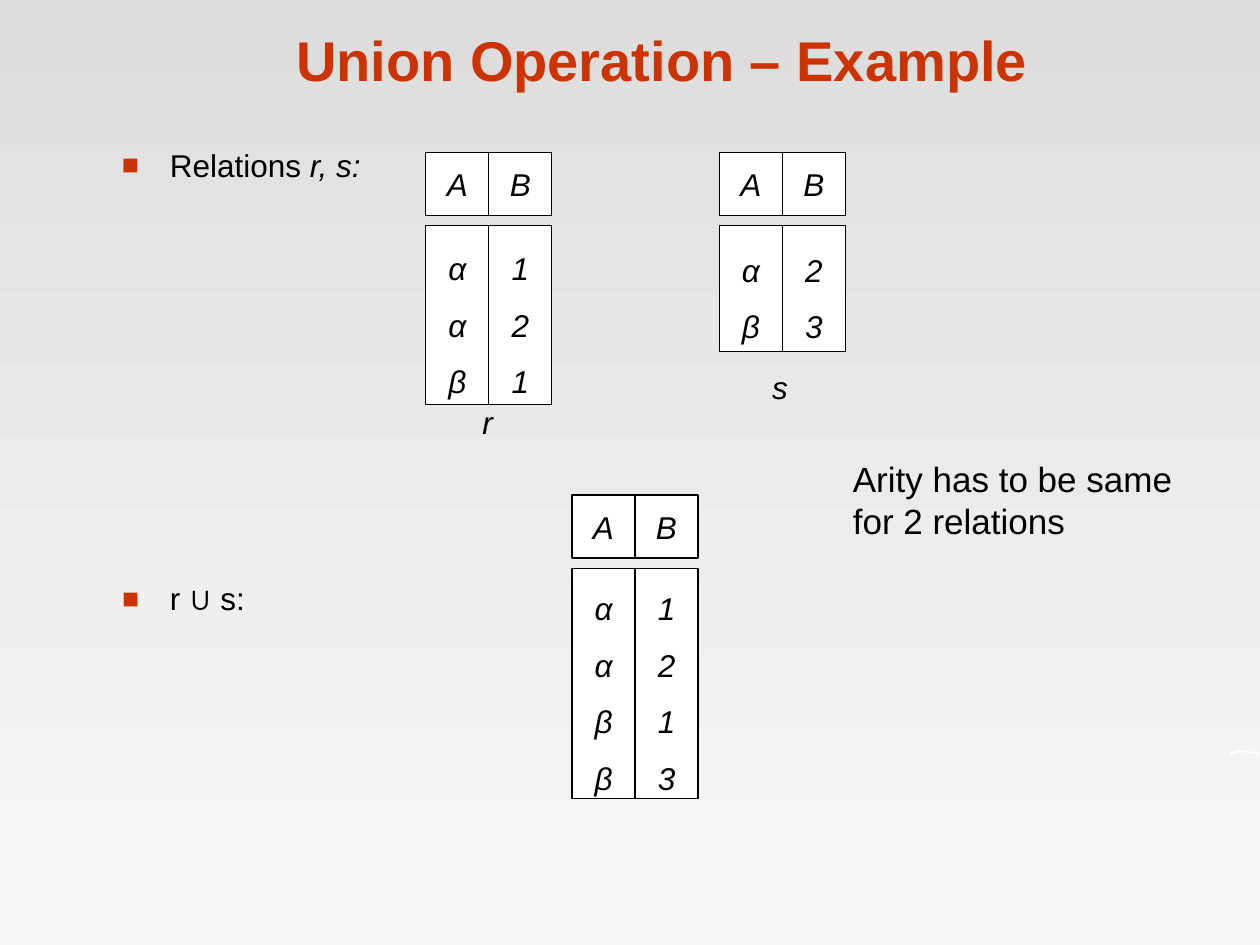
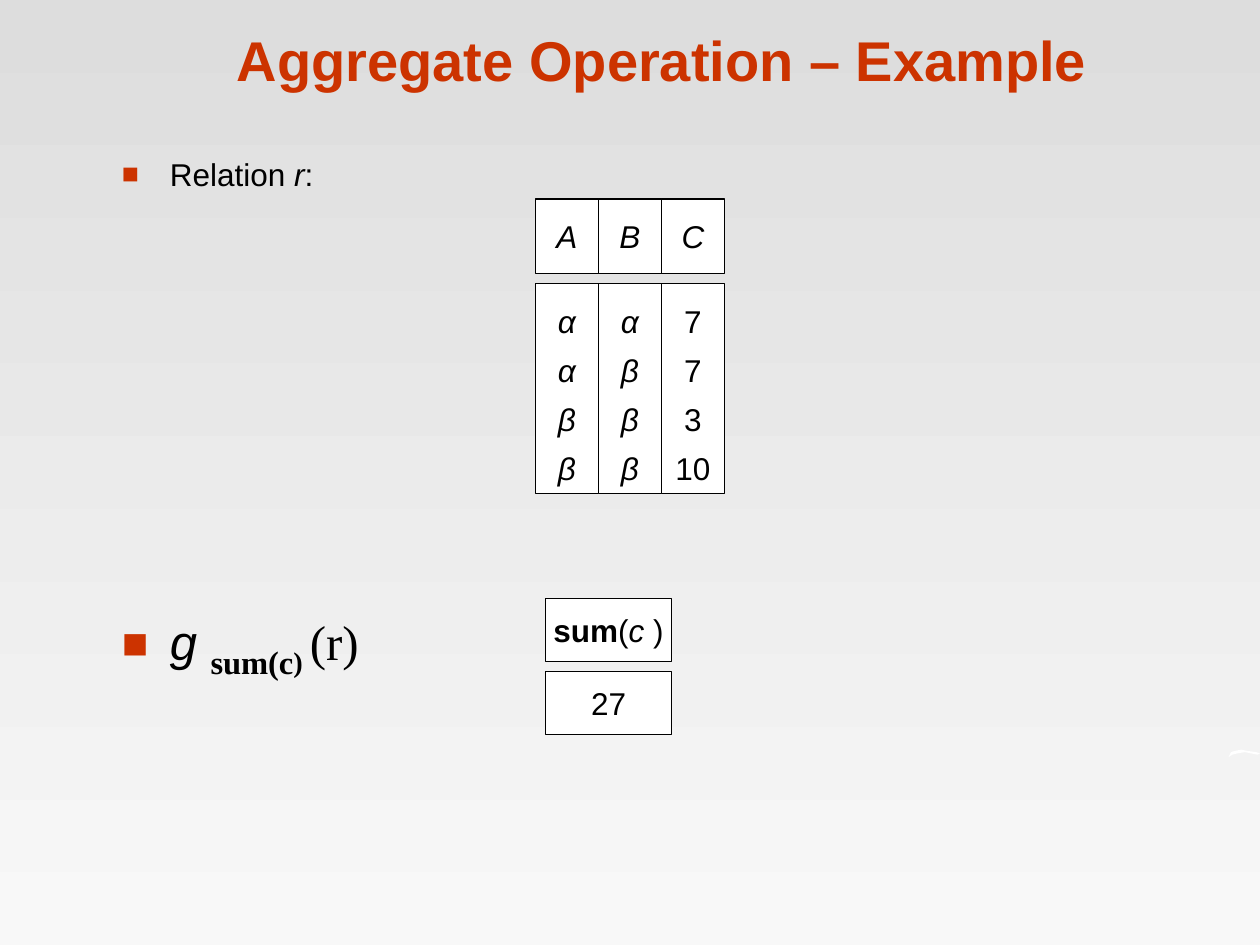
from lxml.etree import SubElement
from pptx import Presentation
from pptx.dml.color import RGBColor
from pptx.enum.shapes import MSO_SHAPE
from pptx.enum.text import MSO_ANCHOR, MSO_AUTO_SIZE, PP_ALIGN
from pptx.oxml.ns import qn
from pptx.util import Inches, Pt

ACCENT, INK, PAPER = "CC3300", "000000", "FFFFFF"
BACKGROUND = ("DDDDDD", "F8F8F8")
FONT = "Arial"
COLUMN_WIDTH, HEAD_GAP = 0.5, 0.08
# Outline in hundredths of an inch
SWOOSH = [(975, 601), (977, 597), (980, 596), (985, 595), (990, 596),
          (997, 597), (1000, 598), (998, 599), (993, 598), (988, 597),
          (982, 598), (978, 599)]


def color(hex_code):
    return RGBColor.from_string(hex_code)


def style(font, size=None, name=None, ink=None, bold=None, italic=None):
    """Set only the font properties that are given."""
    if size:
        font.size = Pt(size)
    if name:
        font.name = name
    if ink:
        font.color.rgb = color(ink)
    if bold is not None:
        font.bold = bold
    if italic is not None:
        font.italic = italic


def add_spans(para, spans):
    """Add (text, font properties) pairs; "baseline" is a percentage."""
    for text, look in spans:
        span = para.add_run()
        span.text = text
        look = dict(look)
        baseline = look.pop("baseline", 0)
        style(span.font, **look)
        if baseline:
            span.font._element.set("baseline", str(baseline * 1000))


def paint_background(deck):
    fill = deck.slide_master.background.fill
    fill.gradient()
    fill.gradient_angle = 270
    for stop, shade in zip(fill.gradient_stops, BACKGROUND):
        stop.color.rgb = color(shade)


def add_swoosh(page):
    builder = page.shapes.build_freeform(*SWOOSH[0], scale=Inches(0.01))
    builder.add_line_segments(SWOOSH[1:], close=True)
    swoosh = builder.convert_to_shape()
    swoosh.shadow.inherit = False
    swoosh.fill.solid()
    swoosh.fill.fore_color.rgb = color(PAPER)
    swoosh.line.fill.background()


def add_page(deck, heading):
    page = deck.slides.add_slide(deck.slide_layouts[5])
    add_swoosh(page)
    title = page.shapes.title
    title.left, title.top = Inches(0.84), Inches(0.12)
    title.width, title.height = Inches(8.83), Inches(0.67)
    frame = title.text_frame
    frame.text = heading
    frame.auto_size = MSO_AUTO_SIZE.NONE
    frame.vertical_anchor = MSO_ANCHOR.BOTTOM
    para = frame.paragraphs[0]
    para.alignment = PP_ALIGN.CENTER
    style(para.font, 32, FONT, ACCENT, bold=True)
    return page


def add_text(page, left, top, width, height):
    """Add an empty wrapping text box and return its first paragraph."""
    box = page.shapes.add_textbox(Inches(left), Inches(top), Inches(width), Inches(height))
    box.text_frame.word_wrap = True
    return box.text_frame.paragraphs[0]


def add_bullet(page, top, width, height, spans, line_spacing=1.0):
    para = add_text(page, 0.87, top, width, height)
    para.line_spacing = line_spacing
    properties = para._p.get_or_add_pPr()
    properties.set("marL", str(Inches(0.38)))
    properties.set("indent", str(-Inches(0.38)))
    bullet_color = SubElement(properties, qn("a:buClr"))
    SubElement(bullet_color, qn("a:srgbClr"), val=ACCENT)
    SubElement(properties, qn("a:buSzPct"), val="90000")
    SubElement(properties, qn("a:buFont"), typeface=FONT)
    SubElement(properties, qn("a:buChar"), char="■")
    style(para.font, 18, FONT, INK)
    add_spans(para, spans)


def add_note(page, left, top, width, height, text):
    para = add_text(page, left, top, width, height)
    para.text = text
    style(para.font, 20, FONT, INK)


def add_relation_name(page, left, top, name):
    para = add_text(page, left, top, 0.3, 0.4)
    para.text = name
    para.alignment = PP_ALIGN.CENTER
    style(para.font, 18, FONT, INK, italic=True)


def add_cell(page, left, top, width, height, lines, line_spacing=1.0):
    """Add a bordered box; each line is a list of spans."""
    cell = page.shapes.add_shape(MSO_SHAPE.RECTANGLE, Inches(left), Inches(top),
                                 Inches(width), Inches(height))
    cell.shadow.inherit = False
    cell.fill.solid()
    cell.fill.fore_color.rgb = color(PAPER)
    cell.line.color.rgb = color(INK)
    cell.line.width = Pt(0.75)
    frame = cell.text_frame
    frame.word_wrap = False
    frame.vertical_anchor = MSO_ANCHOR.MIDDLE
    for index, spans in enumerate(lines):
        para = frame.add_paragraph() if index else frame.paragraphs[0]
        para.alignment = PP_ALIGN.CENTER
        para.line_spacing = line_spacing
        style(para.font, 18, FONT, INK)
        add_spans(para, spans)


def add_relation(page, left, top, columns, body_height, head_height=0.5,
                 line_spacing=1.5, upright=()):
    """Add a header box and a body box for every attribute."""
    body_top = top + head_height + HEAD_GAP
    for index, (attribute, values) in enumerate(columns.items()):
        x = left + index * COLUMN_WIDTH
        look = {"italic": attribute not in upright}
        add_cell(page, x, top, COLUMN_WIDTH, head_height, [[(attribute, {"italic": True})]])
        add_cell(page, x, body_top, COLUMN_WIDTH, body_height,
                 [[(value, look)] for value in values.split()], line_spacing)


def build_union(deck):
    page = add_page(deck, "Union Operation – Example")
    add_bullet(page, 1.17, 7.5, 0.37,
               [("Relations ", {}), ("r, s:", {"italic": True})], 0.8)
    add_bullet(page, 4.58, 7.69, 0.36, [("r ∪ s:", {})], 0.9)
    add_relation(page, 3.38, 1.21, {"A": "α α β", "B": "1 2 1"}, 1.42)
    add_relation(page, 5.71, 1.21, {"A": "α β", "B": "2 3"}, 1)
    add_relation_name(page, 3.72, 3.15, "r")
    add_relation_name(page, 6.03, 2.87, "s")
    add_relation(page, 4.54, 3.93, {"A": "α α β β", "B": "1 2 1 3"}, 1.83)
    add_note(page, 6.67, 3.58, 3.08, 0.77, "Arity has to be same for 2 relations")


def build_aggregate(deck):
    page = add_page(deck, "Aggregate Operation – Example")
    add_bullet(page, 1.18, 1.93, 0.63,
               [("Relation ", {}), ("r", {"italic": True}), (":", {})])
    add_relation(page, 4.25, 1.58, {"A": "α α β β", "B": "α β β β", "C": "7 7 3 10"},
                 1.67, head_height=0.59, line_spacing=1.3, upright="C")
    serif = {"name": "Times New Roman", "size": 28}
    subscript = {**serif, "bold": True, "baseline": -25}
    add_bullet(page, 4.75, 2.54, 1, [
        ("g ", {"size": 28, "italic": True}),
        ("sum(c", {**subscript, "size": 32}),
        (") ", subscript),
        ("(r)", serif),
    ])
    add_cell(page, 4.33, 4.75, 1, 0.5, [[
        ("sum", {"bold": True}), ("(", {}), ("c ", {"italic": True}), (")", {})]])
    add_cell(page, 4.33, 5.33, 1, 0.5, [[("27", {})]])


def main():
    deck = Presentation()
    deck.slide_width, deck.slide_height = Inches(10), Inches(7.5)
    paint_background(deck)
    build_union(deck)
    build_aggregate(deck)
    deck.save("out.pptx")


if __name__ == "__main__":
    main()
